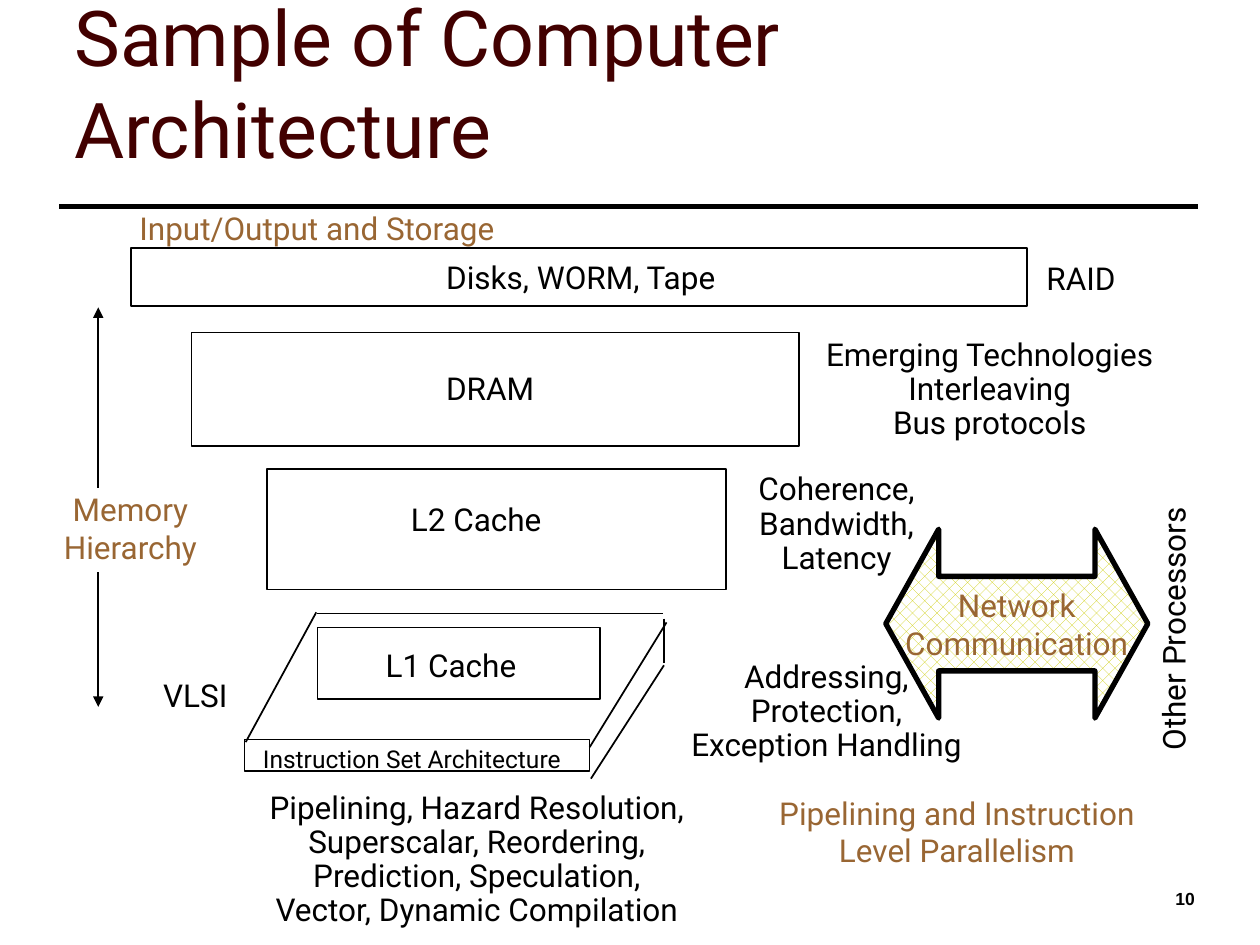
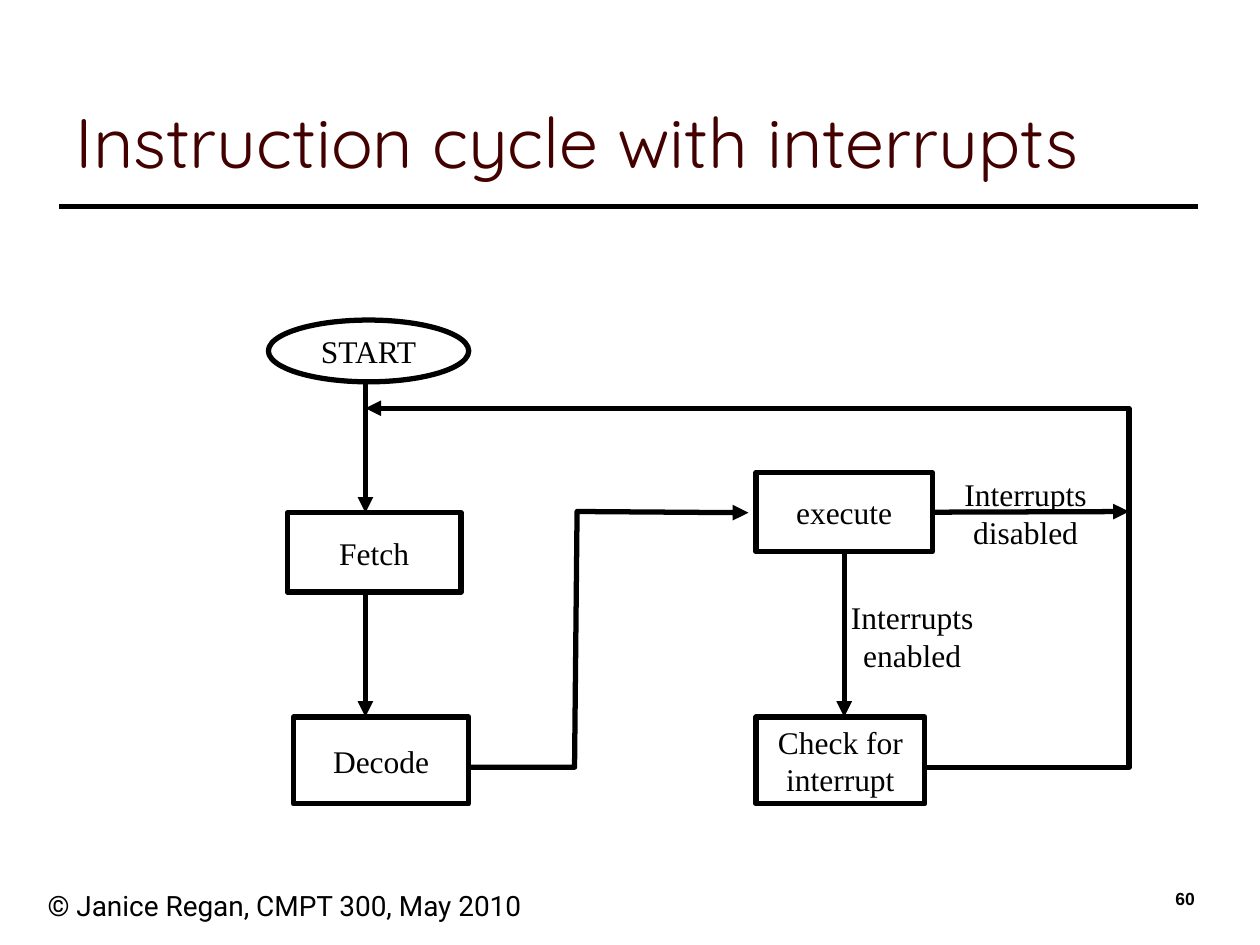
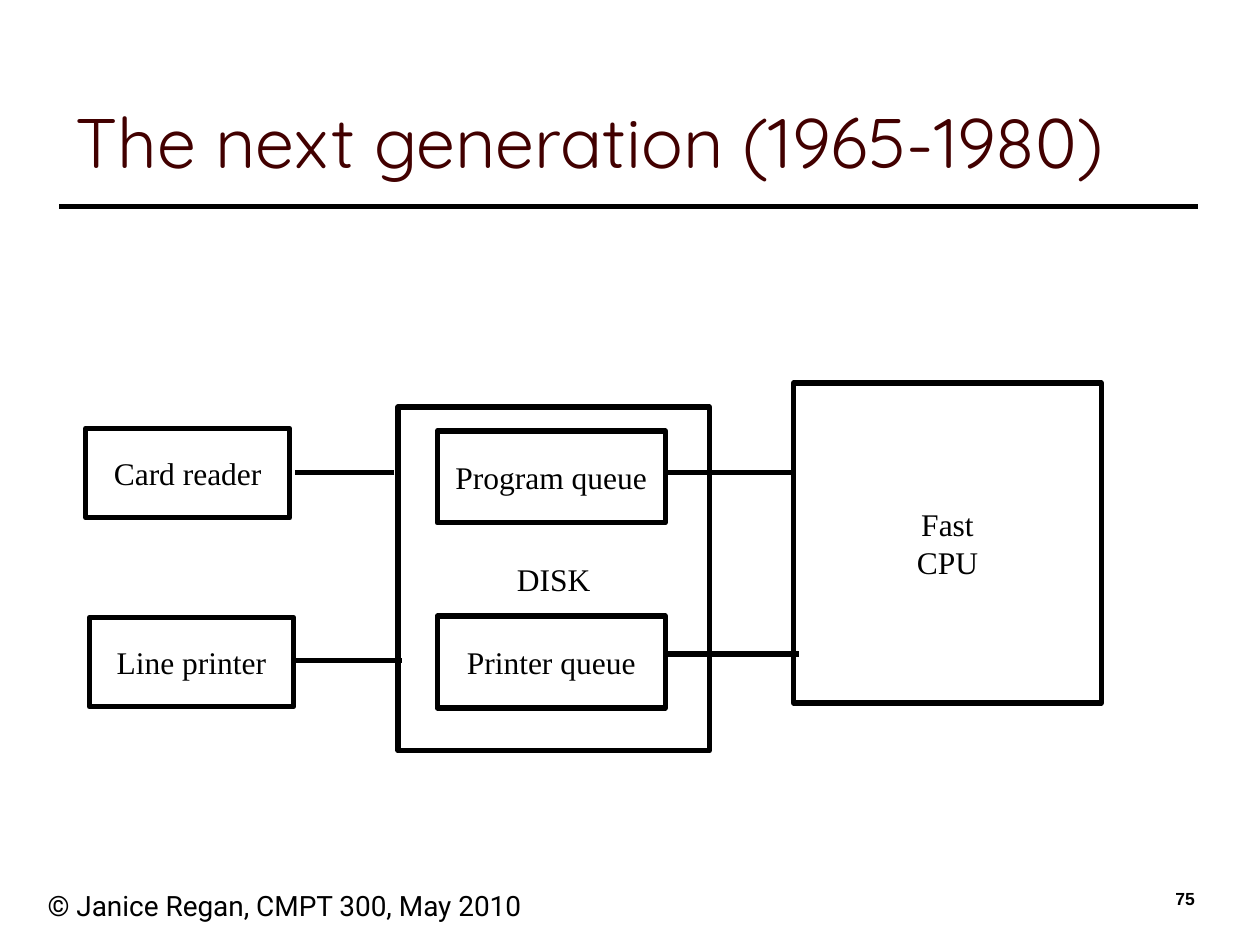
from dataclasses import dataclass

from lxml import etree
from pptx import Presentation
from pptx.dml.color import RGBColor
from pptx.enum import dml, shapes, text
from pptx.oxml.ns import qn
from pptx.util import Inches, Pt


@dataclass(frozen=True)
class Theme:
    ink: RGBColor = RGBColor(0, 0, 0)
    paper: RGBColor = RGBColor(255, 255, 255)
    heading: RGBColor = RGBColor(0x42, 0, 0)
    topic: RGBColor = RGBColor(0x99, 0x66, 0x33)
    hatch: RGBColor = RGBColor(0xCC, 0xCC, 0)
    sans: str = "Roboto"
    serif: str = "Times New Roman"
    display: str = "Quicksand"
    number: str = "Arial"
    label_size: int = 18
    small_size: int = 14
    footer_size: int = 16
    number_size: int = 10
    thin: int = 1
    thick: int = 3


theme = Theme()
LEFT, CENTER, RIGHT = text.PP_ALIGN.LEFT, text.PP_ALIGN.CENTER, text.PP_ALIGN.RIGHT
STRAIGHT = shapes.MSO_CONNECTOR.STRAIGHT
BOX = shapes.MSO_SHAPE.RECTANGLE


def write(frame, lines, font, size=theme.label_size, color=theme.ink, align=CENTER,
          wrap=False, bold=False, tight=False):
    frame.word_wrap = wrap
    frame.margin_left = frame.margin_right = Inches(0.07 if tight else 0.1)
    frame.margin_top = frame.margin_bottom = Inches(0.03 if tight else 0.05)
    for index, line in enumerate(lines):
        paragraph = frame.add_paragraph() if index else frame.paragraphs[0]
        paragraph.alignment = align
        if tight:
            paragraph.line_spacing = 0.9
        run = paragraph.add_run()
        run.text = line
        run.font.name, run.font.size, run.font.bold = font, Pt(size), bold
        run.font.color.rgb = color


def stroke(outline, width, arrow=False):
    outline.line.color.rgb = theme.ink
    outline.line.width = Pt(width)
    properties = outline.element.spPr
    if arrow:
        etree.SubElement(properties.find(qn("a:ln")), qn("a:tailEnd"), type="triangle")
    etree.SubElement(properties, qn("a:effectLst"))


deck = Presentation()
deck.slide_width, deck.slide_height = Inches(10), Inches(7.5)
layout = deck.slide_layouts[5]

headings = [
    ("Sample of Computer Architecture", theme.sans, 44, (0.49, 0.25, 8.78, 1.18), "10", False),
    ("Instruction cycle with interrupts", theme.display, 40, (0.5, 0.25, 9, 1.25), "60", True),
    ("The next generation (1965-1980)", theme.display, 40, (0.5, 0.25, 9, 1.25), "75", True),
]
for heading, font, size, place, number, credited in headings:
    slide = deck.slides.add_slide(layout)
    title = slide.shapes.title
    title.left, title.top, title.width, title.height = map(Inches, place)
    title.text_frame.auto_size = text.MSO_AUTO_SIZE.NONE
    title.text_frame.vertical_anchor = text.MSO_ANCHOR.BOTTOM
    write(title.text_frame, [heading], font, size, theme.heading, LEFT, wrap=True)
    page = slide.shapes.add_textbox(*map(Inches, (7.5, 7, 2.08, 0.5)))
    write(page.text_frame, [number], theme.number, theme.number_size, align=RIGHT, wrap=True, bold=True)
    if credited:
        credit = slide.shapes.add_textbox(*map(Inches, (0.28, 7, 4.8, 0.5)))
        write(credit.text_frame, ["© Janice Regan, CMPT 300, May 2010"], theme.sans,
              theme.footer_size, align=LEFT, wrap=True)

architecture, cycle, generation = deck.slides

title_rule = architecture.shapes.add_connector(STRAIGHT, *map(Inches, (0.47, 1.64, 9.51, 1.64)))
stroke(title_rule, theme.thick)
layout.shapes.element.append(title_rule.element)

for place in [
    (1.04, 1.97, 7.11, 0.46),
    (1.52, 2.64, 4.82, 0.9),
    (2.12, 3.72, 3.64, 0.96),
    (2.52, 4.98, 2.24, 0.57),
    (1.94, 5.87, 2.74, 0.25),
]:
    level = architecture.shapes.add_shape(BOX, *map(Inches, place))
    level.fill.background()
    stroke(level, theme.thin)

for ends, arrow in [
    ((2.52, 4.87, 5.26, 4.87), False),
    ((1.95, 5.89, 2.51, 4.86), False),
    ((5.29, 4.94, 4.68, 5.93), False),
    ((5.27, 4.91, 5.27, 5.26), False),
    ((5.27, 5.28, 4.69, 6.18), False),
    ((0.78, 3.87, 0.78, 2.44), True),
    ((0.78, 4.54, 0.78, 5.61), True),
]:
    edge = architecture.shapes.add_connector(STRAIGHT, *map(Inches, ends))
    stroke(edge, theme.thin, arrow)

for place, lines, size in [
    ((3.36, 2.05, 2.5, 0.33), ["Disks, WORM, Tape"], theme.label_size),
    ((8.2, 2.06, 0.76, 0.33), ["RAID"], theme.label_size),
    ((3.44, 2.93, 0.9, 0.33), ["DRAM"], theme.label_size),
    ((6.36, 2.66, 2.99, 0.88), ["Emerging Technologies", "Interleaving", "Bus protocols"], theme.label_size),
    ((3.15, 3.97, 1.26, 0.33), ["L2 Cache"], theme.label_size),
    ((5.88, 3.73, 1.52, 0.88), ["Coherence,", "Bandwidth,", "Latency"], theme.label_size),
    ((2.95, 5.13, 1.26, 0.33), ["L1 Cache"], theme.label_size),
    ((1.2, 5.37, 0.7, 0.33), ["VLSI"], theme.label_size),
    ((1.91, 5.9, 2.72, 0.27), ["Instruction Set Architecture"], theme.small_size),
    ((1.9, 6.26, 3.77, 1.15), ["Pipelining, Hazard Resolution,", "Superscalar, Reordering,",
                               "Prediction, Speculation,", "Vector, Dynamic Compilation"], theme.label_size),
    ((5.31, 5.22, 2.5, 0.88), ["Addressing,", "Protection,", "Exception Handling"], theme.label_size),
]:
    detail = architecture.shapes.add_textbox(*map(Inches, place))
    write(detail.text_frame, lines, theme.sans, size, tight=True)
    detail.text_frame.auto_size = text.MSO_AUTO_SIZE.SHAPE_TO_FIT_TEXT

network = architecture.shapes.add_shape(
    shapes.MSO_SHAPE.LEFT_RIGHT_ARROW, *map(Inches, (7.03, 4.2, 2.08, 1.5)))
network.adjustments[0], network.adjustments[1] = 0.5, 0.28
network.fill.patterned()
network.fill.pattern = dml.MSO_PATTERN.PERCENT_30
network.fill.fore_color.rgb = theme.hatch
network.fill.back_color.rgb = theme.paper
stroke(network, theme.thick)
network.text_frame.vertical_anchor = text.MSO_ANCHOR.MIDDLE
write(network.text_frame, ["Network", "Communication"], theme.sans, color=theme.topic)

for place, lines, color, wrap, turn in [
    ((0.92, 1.61, 3.19, 0.4), ["Input/Output and Storage"], theme.topic, True, 0),
    ((0.34, 3.84, 1.39, 0.7), ["Memory", "Hierarchy"], theme.topic, False, 0),
    ((5.92, 6.25, 3.35, 0.7), ["Pipelining and Instruction", "Level Parallelism"], theme.topic, False, 0),
    ((8.1, 4.79, 2.42, 0.4), ["Other Processors"], theme.ink, True, 270),
]:
    topic = architecture.shapes.add_textbox(*map(Inches, place))
    topic.rotation = turn
    write(topic.text_frame, lines, theme.sans, color=color, wrap=wrap)
    topic.text_frame.auto_size = text.MSO_AUTO_SIZE.SHAPE_TO_FIT_TEXT

nodes = {}
for slide, kind, place, lines in [
    (cycle, shapes.MSO_SHAPE.OVAL, (2.13, 2.54, 1.59, 0.49), ["START"]),
    (cycle, BOX, (2.28, 4.07, 1.38, 0.63), ["Fetch"]),
    (cycle, BOX, (2.33, 5.69, 1.39, 0.69), ["Decode"]),
    (cycle, BOX, (6, 3.75, 1.4, 0.63), ["execute"]),
    (cycle, BOX, (6, 5.69, 1.34, 0.69), ["Check for", "interrupt"]),
    (generation, BOX, (0.68, 3.4, 1.62, 0.71), ["Card reader"]),
    (generation, BOX, (3.16, 3.23, 2.47, 2.73), ["DISK"]),
    (generation, BOX, (0.71, 4.9, 1.62, 0.71), ["Line printer"]),
    (generation, BOX, (3.47, 3.42, 1.81, 0.73), ["Program queue"]),
    (generation, BOX, (6.3, 3.04, 2.44, 2.54), ["Fast", "CPU"]),
    (generation, BOX, (3.47, 4.89, 1.81, 0.73), ["Printer queue"]),
]:
    node = slide.shapes.add_shape(kind, *map(Inches, place))
    node.fill.solid()
    node.fill.fore_color.rgb = theme.paper
    stroke(node, theme.thick)
    node.text_frame.vertical_anchor = text.MSO_ANCHOR.MIDDLE
    write(node.text_frame, lines, theme.serif)
    nodes[lines[0]] = node

for slide, ends, arrow, source, side in [
    (cycle, (2.9, 3.04, 2.9, 4.07), True, None, None),
    (cycle, (2.9, 4.7, 2.9, 5.69), True, None, None),
    (cycle, (6.7, 4.38, 6.7, 5.69), True, "execute", 2),
    (cycle, (7.4, 4.07, 8.96, 4.06), True, "execute", 3),
    (generation, (3.13, 3.75, 2.34, 3.75), False, None, None),
    (generation, (3.19, 5.24, 2.35, 5.24), False, None, None),
    (generation, (5.28, 3.75, 6.3, 3.75), False, None, None),
    (generation, (6.34, 5.19, 5.28, 5.19), False, None, None),
]:
    link = slide.shapes.add_connector(STRAIGHT, *map(Inches, ends))
    if source:
        link.begin_connect(nodes[source], side)
    stroke(link, theme.thick, arrow)

for corners in [
    [(3.72, 6.09), (4.56, 6.09), (4.58, 4.06), (5.94, 4.07)],
    [(7.35, 6.09), (8.96, 6.09), (8.96, 3.24), (2.9, 3.24)],
]:
    start, *bends = [(Inches(x), Inches(y)) for x, y in corners]
    builder = cycle.shapes.build_freeform(*start)
    builder.add_line_segments(bends, close=False)
    route = builder.convert_to_shape()
    route.fill.background()
    stroke(route, theme.thick, True)

for left, top, state in [(6.44, 4.7, "enabled"), (7.34, 3.72, "disabled")]:
    condition = cycle.shapes.add_textbox(*map(Inches, (left, top, 1.6, 0.7)))
    write(condition.text_frame, [f"Interrupts {state}"], theme.serif, wrap=True)
    condition.text_frame.auto_size = text.MSO_AUTO_SIZE.SHAPE_TO_FIT_TEXT

deck.save("out.pptx")
